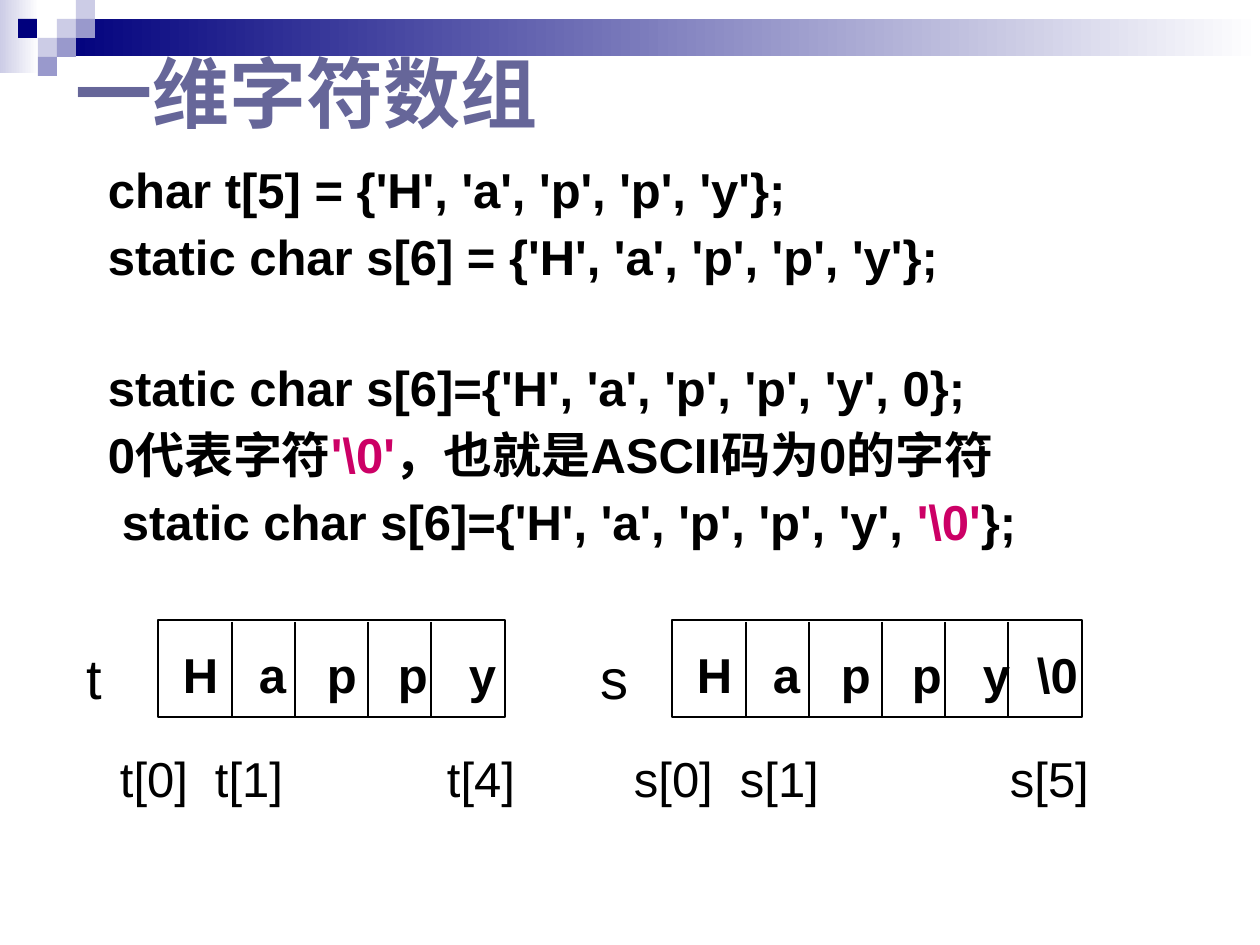
import pptx
import pptx.dml.color
import pptx.enum.shapes
import pptx.enum.text
import pptx.oxml.ns
import pptx.util
from lxml import etree

COLORS = {"title": "666699", "ink": "000000", "accent": "CC0066", "navy": "00007D",
          "pale": "CCCCE6", "mid": "9999CC", "white": "FFFFFF"}
FONT = "Arial"
DIVIDERS = (74, 137, 210, 273, 336)
LETTER_TABS = (76, 144, 215, 286, 340)
SQUARES = ((57, 19, "pale"), (76, 0, "pale"), (76, 19, "mid"), (38, 38, "pale"),
           (18, 19, "navy"), (57, 38, "mid"), (38, 57, "mid"))
CODE_LINES = (
    ([("char t[5] = {'H', 'a', 'p', 'p', 'y'};", "ink")], 0, -39),
    ([("static char s[6] = {'H', 'a', 'p', 'p', 'y'};", "ink")], 8, -39),
    ([("static char s[6]={'H', 'a', 'p', 'p', 'y', 0};", "ink")], 45, -39),
    ([("0代表字符", "ink"), ("'\\0'", "accent"), ("，也就是ASCII码为0的字符", "ink")], 8, -39),
    ([("static char s[6]={'H', 'a', 'p', 'p', 'y', ", "ink"), ("'\\0'", "accent"),
      ("};", "ink")], 8, -25),
)


def px(length):
    """Turn pixels into EMU."""
    return pptx.util.Emu(round(length * 914400 / 126))


def rgb(name):
    """Look up a named colour."""
    return pptx.dml.color.RGBColor.from_string(COLORS[name])


def apply(target, values):
    """Set every attribute in a dict on the target."""
    for name, value in values.items():
        setattr(target, name, value)


def add_child(parent, tag, **attributes):
    """Append a DrawingML element to its parent."""
    child = etree.SubElement(parent, pptx.oxml.ns.qn(tag))
    for name, value in attributes.items():
        child.set(name, str(value))
    return child


def add_run(paragraph, text, size, color="ink", bold=False):
    """Add one formatted run of text."""
    run = paragraph.add_run()
    run.text = text
    apply(run.font, {"size": pptx.util.Pt(size), "bold": bold, "name": FONT})
    run.font.color.rgb = rgb(color)
    add_child(run.font._element, "a:ea", typeface=FONT)


def format_frame(frame, left=13, top=6, anchor="TOP"):
    """Set insets, wrapping and anchor of a text frame."""
    apply(frame, {"word_wrap": True, "auto_size": pptx.enum.text.MSO_AUTO_SIZE.NONE,
                  "margin_left": px(left), "margin_right": 0,
                  "margin_top": px(top), "margin_bottom": px(6),
                  "vertical_anchor": getattr(pptx.enum.text.MSO_ANCHOR, anchor)})


def add_title(slide, text):
    """Place and fill the title placeholder."""
    title = slide.shapes.title
    apply(title, {"left": px(63), "top": px(31), "width": px(1008), "height": px(121)})
    format_frame(title.text_frame, anchor="MIDDLE")
    heading = title.text_frame.paragraphs[0]
    heading.alignment = pptx.enum.text.PP_ALIGN.LEFT
    add_run(heading, text, 44, "title", True)


def add_block(slide, left, top, width, height, color, fade=False):
    """Draw one borderless block, plain or fading to white."""
    block = slide.shapes.add_shape(pptx.enum.shapes.MSO_SHAPE.RECTANGLE,
                                   px(left), px(top), px(width), px(height))
    block.shadow.inherit = False
    block.line.fill.background()
    if not fade:
        block.fill.solid()
        block.fill.fore_color.rgb = rgb(color)
        return
    block.fill.gradient()
    block.fill.gradient_angle = 0
    for stop, position, shade in zip(block.fill.gradient_stops, (0, 1), (color, "white")):
        stop.color.rgb = rgb(shade)
        stop.position = position


def add_banner(slide):
    """Draw the fading bars and the mosaic of squares."""
    add_block(slide, 0, 0, 39, 73, "pale", True)
    add_block(slide, 57, 19, 1203, 37, "navy", True)
    for left, top, color in SQUARES:
        add_block(slide, left, top, 19, 19, color)


def add_code(slide):
    """Write the declarations and the remark on the terminator."""
    box = slide.shapes.add_textbox(px(32), px(158), px(1144), px(425))
    format_frame(box.text_frame, top=8)
    for index, (parts, space, indent) in enumerate(CODE_LINES):
        line = box.text_frame.add_paragraph() if index else box.text_frame.paragraphs[0]
        apply(line, {"line_spacing": 0.9, "space_before": pptx.util.Pt(space)})
        properties = line._p.get_or_add_pPr()
        properties.set("marL", str(px(102)))
        properties.set("indent", str(px(indent)))
        for text, color in parts:
            add_run(line, text, 28, color, True)


def add_row(slide, left, top, width, height, words, tabs=(), size=28, bold=False, inset=25):
    """Write a row of words set apart by tab stops."""
    box = slide.shapes.add_textbox(px(left), px(top), px(width), px(height))
    format_frame(box.text_frame, left=inset, top=11)
    row = box.text_frame.paragraphs[0]
    if tabs:
        stops = add_child(row._p.get_or_add_pPr(), "a:tabLst")
        for position in tabs:
            add_child(stops, "a:tab", pos=px(position), algn="l")
    add_run(row, "\t".join(words), size, bold=bold)


def add_divider(slide, x):
    """Draw one vertical line between two cells."""
    divider = slide.shapes.add_connector(pptx.enum.shapes.MSO_CONNECTOR.STRAIGHT,
                                         px(x), px(622), px(x), px(717))
    divider.line.width = pptx.util.Pt(1)
    divider.line.color.rgb = rgb("ink")
    add_child(divider._element.spPr, "a:effectLst")


def add_array(slide, name, left, width, letters, indices, index_tabs):
    """Draw an array with its name, cells and index labels."""
    cells = slide.shapes.add_shape(pptx.enum.shapes.MSO_SHAPE.RECTANGLE,
                                   px(left), px(620), px(width), px(97))
    cells.shadow.inherit = False
    cells.fill.background()
    cells.line.width = pptx.util.Pt(1)
    cells.line.color.rgb = rgb("ink")
    for offset in DIVIDERS[:len(letters) - 1]:
        add_divider(slide, left + offset)
    add_row(slide, left - 84, 633, 73, 79, [name], size=32, inset=13)
    add_row(slide, left, 633, 431, 71, letters, LETTER_TABS[:len(letters) - 1], bold=True)
    labels = [f"{name}[{index}]" for index in indices]
    add_row(slide, left - 63, 737, 494, 71, labels, index_tabs)


def main():
    """Build the slide and save it."""
    deck = pptx.Presentation()
    apply(deck, {"slide_width": px(1260), "slide_height": px(945)})
    slide = deck.slides.add_slide(deck.slide_layouts[5])
    add_banner(slide)
    add_title(slide, "一维字符数组")
    add_code(slide)
    add_array(slide, "s", 672, 410, [*"Happy", "\\0"], (0, 1, 5), (106, 376))
    add_array(slide, "t", 158, 347, [*"Happy"], (0, 1, 4), (95, 327))
    deck.save("out.pptx")


if __name__ == "__main__":
    main()
